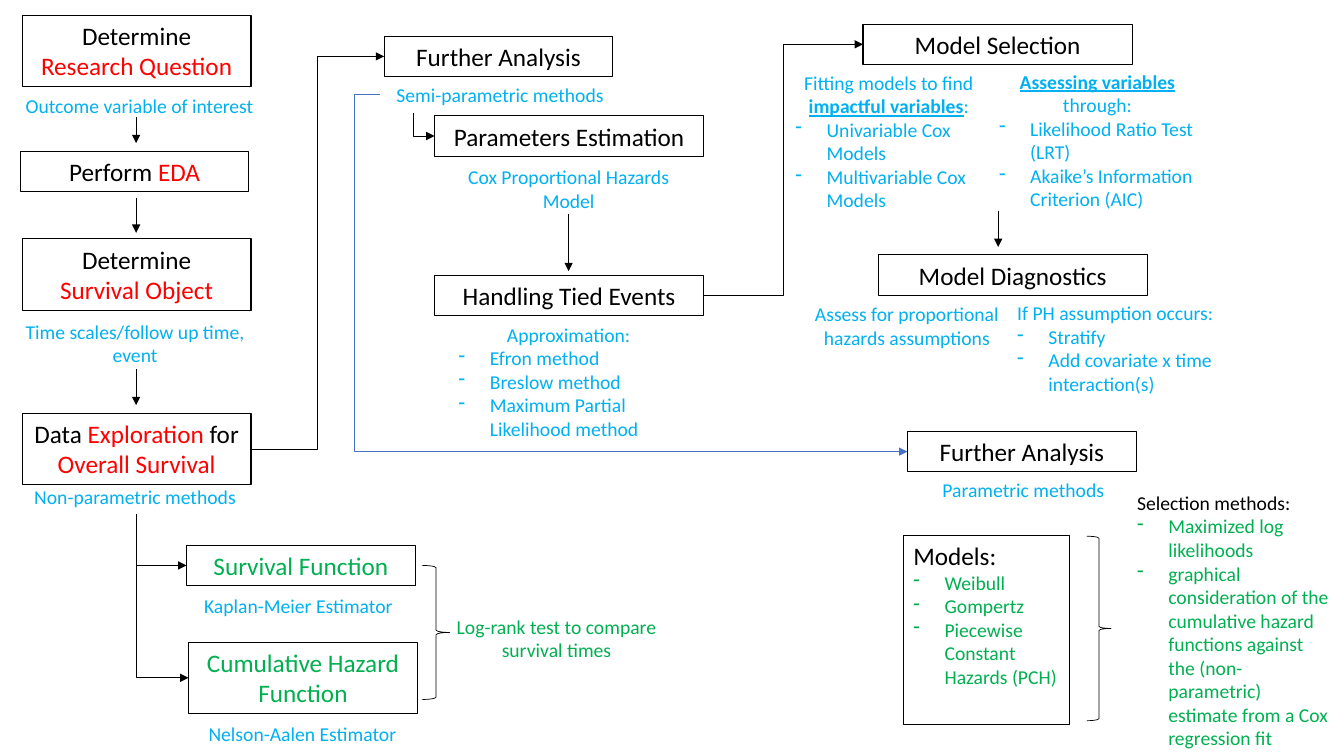
from lxml import etree
from pptx import Presentation
from pptx import util as u
from pptx.dml.color import RGBColor
from pptx.enum import shapes, text
from pptx.oxml.ns import qn

PX = 9144
FONT = "Calibri"
BULLET_INDENT = 31
COLORS = {
    "ink": "000000",
    "red": "FF0000",
    "blue": "00B0F0",
    "green": "00B050",
    "route": "4472C4",
}
TITLE_HEIGHT = {1: 40, 2: 71}
NOTE_HEIGHT = {1: 34, 2: 57}
KEY_TERM = {"bold": True, "underline": True}
LEFT, CENTER = text.PP_ALIGN.LEFT, text.PP_ALIGN.CENTER


def px(*lengths):
    return [u.Emu(length * PX) for length in lengths]


def rgb(name):
    return RGBColor.from_string(COLORS[name])


def set_all(target, values):
    for name, value in values.items():
        setattr(target, name, value)


def outline(shape, color="ink", width=0.5):
    shape.line.color.rgb = rgb(color)
    shape.line.width = u.Pt(width)


def add_bullet(paragraph):
    properties = paragraph._p.get_or_add_pPr()
    properties.set("marL", str(BULLET_INDENT * PX))
    properties.set("indent", str(-BULLET_INDENT * PX))
    etree.SubElement(properties, qn("a:buFontTx"))
    etree.SubElement(properties, qn("a:buChar")).set("char", "-")


def write(shape, lines, color, size, align=CENTER):
    frame = shape.text_frame
    set_all(frame, {
        "word_wrap": True,
        "auto_size": text.MSO_AUTO_SIZE.SHAPE_TO_FIT_TEXT,
        "vertical_anchor": text.MSO_ANCHOR.TOP,
    })
    for index, line in enumerate(lines):
        paragraph = frame.add_paragraph() if index else frame.paragraphs[0]
        runs = [(line, {})] if isinstance(line, str) else line
        bulleted = runs[0][0].startswith("- ")
        paragraph.alignment = LEFT if bulleted else align
        if bulleted:
            add_bullet(paragraph)
        for words, look in runs:
            run = paragraph.add_run()
            run.text = words.removeprefix("- ")
            style = {"name": FONT, "size": u.Pt(size), **look}
            run.font.color.rgb = rgb(style.pop("color", color))
            set_all(run.font, style)


def title(slide, x, y, w, lines, rows=1, color="ink", height=None, align=CENTER):
    step = slide.shapes.add_shape(
        shapes.MSO_SHAPE.RECTANGLE, *px(x, y, w, height or TITLE_HEIGHT[rows]))
    step.shadow.inherit = False
    step.fill.background()
    outline(step, width=0.75)
    write(step, lines, color, 18, align)
    return step


def note(slide, x, y, w, lines, rows=1, color="blue", height=None, align=CENTER):
    caption = slide.shapes.add_textbox(*px(x, y, w, height or NOTE_HEIGHT[rows]))
    write(caption, lines, color, 14, align)


def brace(slide, x, y, w, h):
    bracket = slide.shapes.add_shape(shapes.MSO_SHAPE.RIGHT_BRACE, *px(x, y, w, h))
    bracket.shadow.inherit = False
    bracket.fill.background()
    outline(bracket)


def link(slide, kind, points, color="ink", arrow_at="tailEnd"):
    connector = slide.shapes.add_connector(kind, *px(*points))
    outline(connector, color)
    etree.SubElement(connector.line._get_or_add_ln(), qn(f"a:{arrow_at}")).set("type", "triangle")
    etree.SubElement(connector._element.spPr, qn("a:effectLst"))
    return connector


def arrow_down(slide, x, y, length):
    link(slide, shapes.MSO_CONNECTOR.STRAIGHT, (x, y, x, y + length))


def branch(slide, x, y, step):
    target = (step.left // PX, (step.top + step.height // 2) // PX)
    corner = link(slide, shapes.MSO_CONNECTOR.ELBOW, (*target, x, y), arrow_at="headEnd")
    corner._element.spPr.find(qn("a:prstGeom")).set("prst", "bentConnector2")
    corner.begin_connect(step, 1)


def join(slide, source, target):
    route = link(slide, shapes.MSO_CONNECTOR.ELBOW, (0, 0, 1, 1))
    route.begin_connect(source, 3)
    route.end_connect(target, 1)


def exploration(slide, x, y):
    red = {"color": "red"}
    title(slide, x, y, 227, ["Determine", [("Research Question", red)]], 2)
    note(slide, x - 12, y + 73, 257, ["Outcome variable of interest"])
    title(slide, x - 2, y + 135, 227, [[("Perform ", {}), ("EDA", red)]])
    title(slide, x, y + 222, 227, ["Determine", [("Survival Object", red)]], 2)
    note(slide, x - 7, y + 297, 238, ["Time scales/follow up time, event"], 2)
    overall = title(slide, x, y + 395, 227, [[
        ("Data ", {}), ("Exploration ", red), ("for ", {}), ("Overall Survival", red)]], 2)
    note(slide, x - 7, y + 461, 238, ["Non-parametric methods"])
    for top, length in ((101, 26), (181, 35), (351, 36)):
        arrow_down(slide, x + 113, y + top, length)
    return overall


def estimators(slide, x, y):
    survival = title(slide, x + 50, y + 31, 227, ["Survival Function"], color="green")
    note(slide, x + 42, y + 74, 238, ["Kaplan-Meier Estimator"])
    hazard = title(slide, x + 52, y + 127, 227, ["Cumulative Hazard Function"], 2, "green")
    note(slide, x + 46, y + 201, 238, ["Nelson-Aalen Estimator"])
    branch(slide, x, y, survival)
    branch(slide, x, y + 51, hazard)
    brace(slide, x + 284, y + 51, 27, 133)
    note(slide, x + 298, y + 95, 238, ["Log-rank test to compare survival times"], 2, "green")


def semi_parametric(slide, x, y):
    further = title(slide, x, y, 227, ["Further Analysis"])
    note(slide, x - 4, y + 41, 238, ["Semi-parametric methods"])
    parameters = title(slide, x + 50, y + 79, 267, ["Parameters Estimation"])
    branch(slide, x + 29, y + 76, parameters)
    note(slide, x + 64, y + 123, 238, ["Cox Proportional Hazards Model"], 2)
    arrow_down(slide, x + 183, y + 176, 57)
    tied = title(slide, x + 50, y + 237, 267, ["Handling Tied Events"])
    note(slide, x + 64, y + 279, 238, [
        "Approximation:", "- Efron method", "- Breslow method",
        "- Maximum Partial Likelihood method"], height=151)
    return further, tied


def model_choice(slide, x, y):
    selection = title(slide, x, y, 267, ["Model Selection"])
    note(slide, x - 77, y + 41, 205, [
        [("Fitting models to find ", {}), ("impactful variables", KEY_TERM), (":", {})],
        "- Univariable Cox Models", "- Multivariable Cox Models"], height=175)
    note(slide, x + 125, y + 40, 215, [
        [("Assessing variables", KEY_TERM), (" through:", {})],
        "- Likelihood Ratio Test (LRT)", "- Akaike’s Information Criterion (AIC)"], height=175)
    arrow_down(slide, x + 134, y + 185, 36)
    title(slide, x + 15, y + 229, 267, ["Model Diagnostics"])
    note(slide, x - 59, y + 271, 205, ["Assess for proportional hazards assumptions"], height=81)
    note(slide, x + 143, y + 270, 215, [
        "If PH assumption occurs:", "- Stratify",
        "- Add covariate x time interaction(s)"], height=128, align=LEFT)
    return selection


def parametric(slide, x, y):
    further = title(slide, x, y, 227, ["Further Analysis"])
    note(slide, x - 4, y + 41, 238, ["Parametric methods"])
    item = {"color": "green", "size": u.Pt(14)}
    models = ("Weibull", "Gompertz", "Piecewise Constant Hazards (PCH)")
    title(slide, x - 4, y + 103, 165,
          ["Models:"] + [[(f"- {model}", item)] for model in models],
          height=188, align=LEFT)
    brace(slide, x + 178, y + 104, 24, 183)
    note(slide, x + 218, y + 54, 210, [
        [("Selection methods:", {"color": "ink"})],
        "- Maximized log likelihoods",
        "- graphical consideration of the cumulative hazard functions against "
        "the (non-parametric) estimate from a Cox regression fit",
    ], color="green", height=269, align=LEFT)
    return further


def main():
    deck = Presentation()
    deck.slide_width, deck.slide_height = px(1333, 750)
    slide = deck.slides.add_slide(deck.slide_layouts[6])
    overall = exploration(slide, 22, 15)
    estimators(slide, 135, 510)
    further, tied = semi_parametric(slide, 381, 36)
    selection = model_choice(slide, 856, 24)
    alternative = parametric(slide, 900, 428)
    join(slide, overall, further)
    join(slide, tied, selection)
    detour = link(slide, shapes.MSO_CONNECTOR.ELBOW, (377, 94, 900, 448), "route")
    detour.end_connect(alternative, 1)
    guides = detour._element.spPr.find(qn("a:prstGeom")).get_or_add_avLst()
    bend = etree.SubElement(guides, qn("a:gd"))
    bend.set("name", "adj1")
    bend.set("fmla", "val -4800")
    deck.save("out.pptx")


if __name__ == "__main__":
    main()
